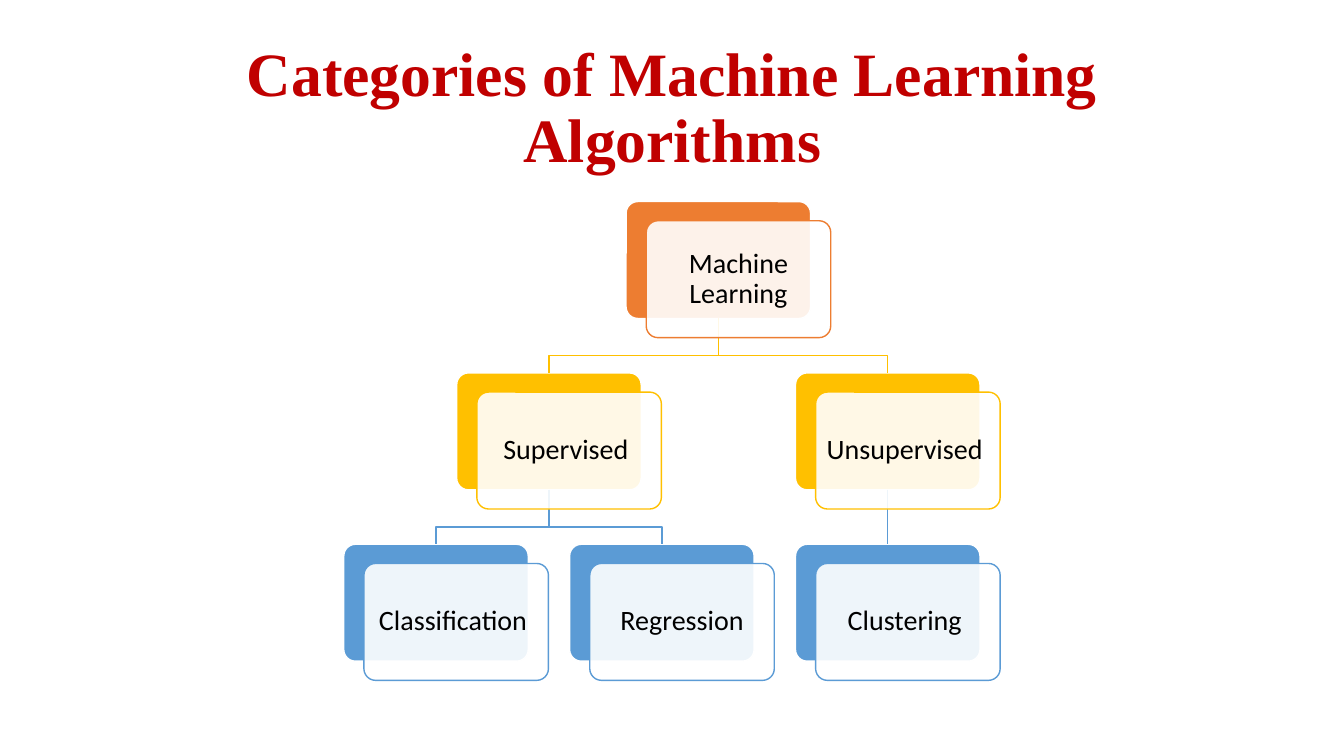
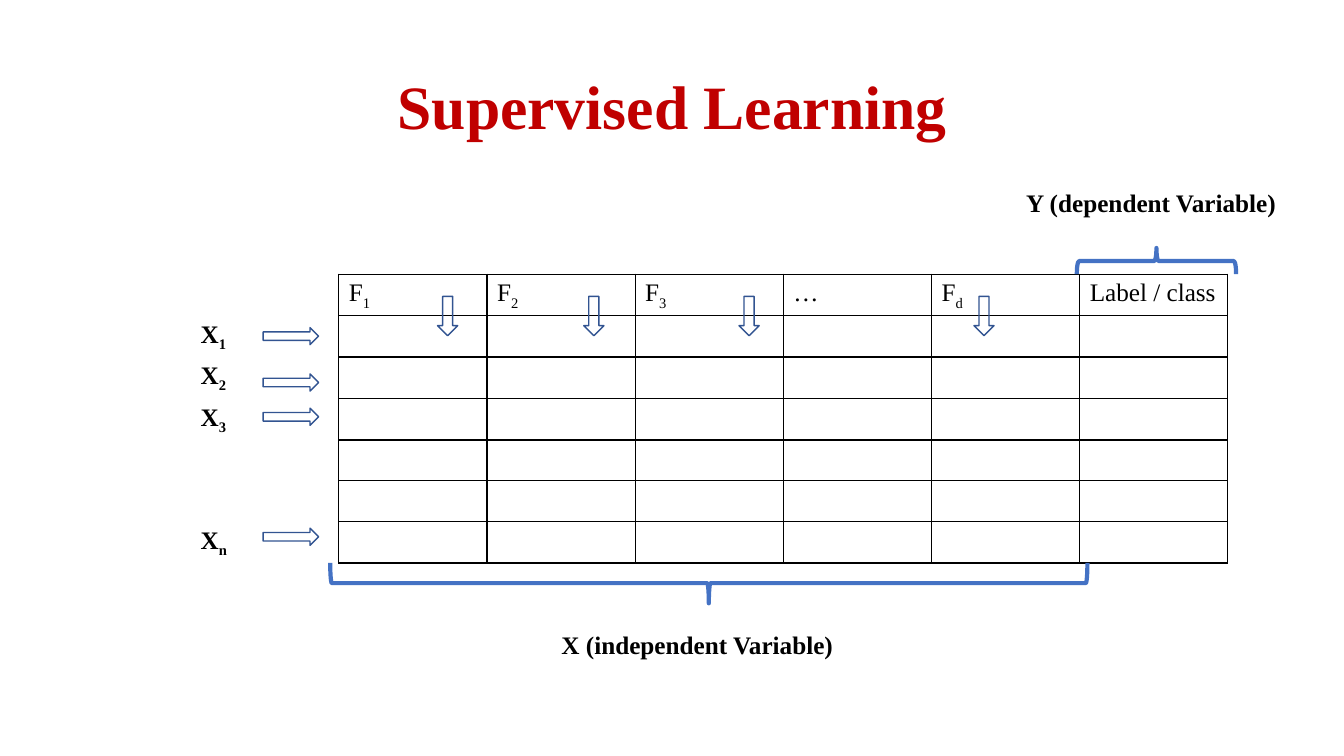
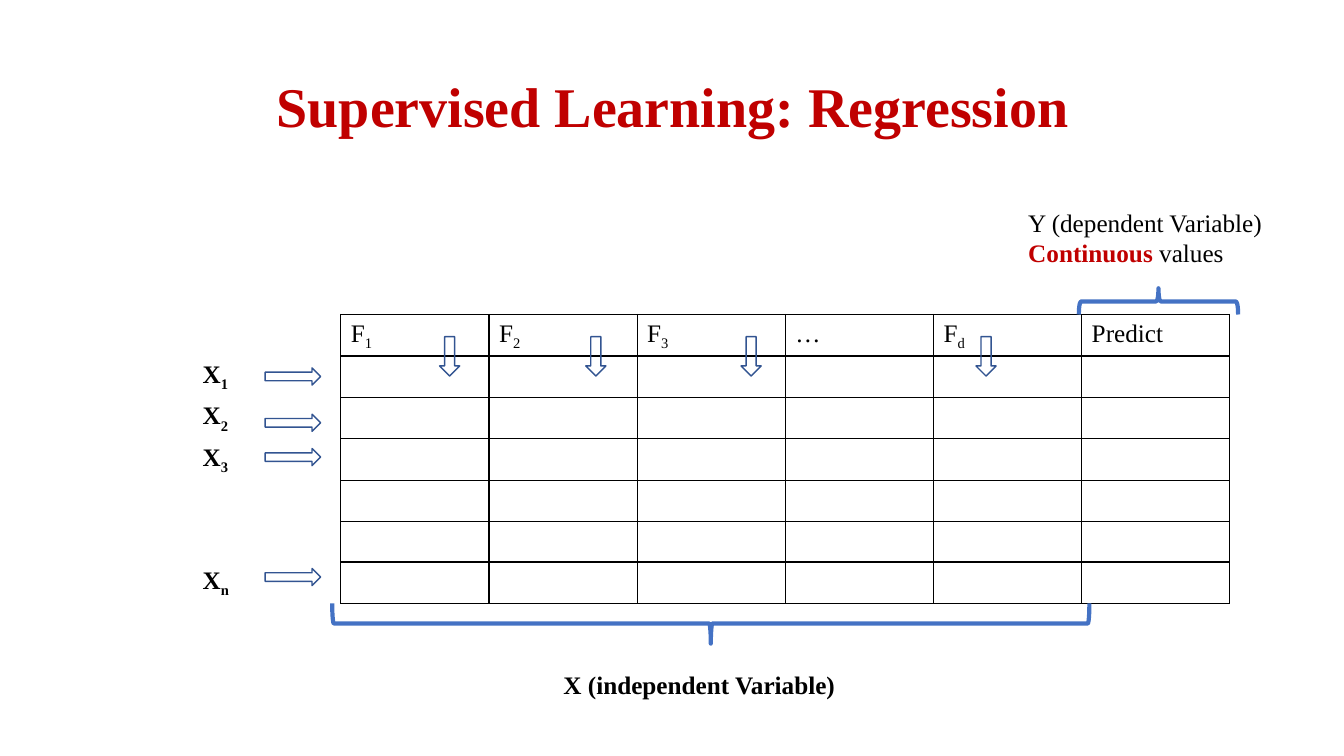
from lxml import etree
from pptx import Presentation
from pptx.dml.color import RGBColor
from pptx.enum.shapes import MSO_CONNECTOR, MSO_SHAPE
from pptx.enum.text import MSO_ANCHOR, PP_ALIGN
from pptx.oxml import parse_xml
from pptx.oxml.ns import nsdecls, qn
from pptx.util import Inches, Pt

RED = RGBColor(0xC0, 0x00, 0x00)
BLACK = RGBColor(0x00, 0x00, 0x00)
WHITE = RGBColor(0xFF, 0xFF, 0xFF)
ORANGE = RGBColor(0xED, 0x7D, 0x31)
GOLD = RGBColor(0xFF, 0xC0, 0x00)
SKY = RGBColor(0x5B, 0x9B, 0xD5)
BLUE = RGBColor(0x44, 0x72, 0xC4)
NAVY = RGBColor(0x32, 0x54, 0x91)
SERIF = "Times New Roman"
SANS = "Calibri"

TREE_TITLE = "Categories of Machine Learning Algorithms"
LEVEL_COLORS = [ORANGE, GOLD, SKY]
NODES = [
    ("Machine Learning", 0, 1.25, None),
    ("Supervised ", 1, 0.5, 0),
    ("Unsupervised ", 1, 2, 0),
    ("Classification ", 2, 0, 1),
    ("Regression", 2, 1, 1),
    ("Clustering ", 2, 2, 2),
]
CARD_W, CARD_H = 1.83, 1.16

FEATURES = ["", "F_1", "F_2", "F_3", "…", "F_d"]
SAMPLES = ["X_1", "X_2", "X_3", "", "", "X_n"]
SAMPLE_ARROW_TOPS = [3.25, 3.71, 4.05, 5.24]
FEATURE_ARROW_LEFTS = [4.34, 5.79, 7.33, 9.66]
X_NOTE = [[("X (independent Variable)", BLACK, True)]]
DATA_SLIDES = [
    dict(title="Supervised Learning", size=44, dx=0, dy=0, target="Label / class",
         y_top=1.81, y_note=[[("Y (dependent Variable)", BLACK, True)]]),
    dict(title="Supervised Learning: Regression", size=40, dx=0.02, dy=0.4, target="Predict",
         y_top=2.01, y_note=[[("Y (dependent Variable)", BLACK, False)],
                             [("Continuous", RED, True), (" values", BLACK, False)]]),
]


def add_run(p, text, size, color, bold=False, name=SERIF):
    r = p.add_run()
    r.text = text
    r.font.size, r.font.bold, r.font.name = Pt(size), bold, name
    r.font.color.rgb = color
    return r


def add_title(s, text, size):
    tf = s.shapes.add_textbox(Inches(0.92), Inches(0.36), Inches(11.5), Inches(1.45)).text_frame
    tf.word_wrap = True
    tf.vertical_anchor = MSO_ANCHOR.MIDDLE
    p = tf.paragraphs[0]
    p.alignment, p.line_spacing = PP_ALIGN.CENTER, 0.9
    add_run(p, text, size, RED, True)


def add_note(s, paragraphs, left, top, width, height):
    tf = s.shapes.add_textbox(Inches(left), Inches(top), Inches(width), Inches(height)).text_frame
    tf.word_wrap = True
    for i, runs in enumerate(paragraphs):
        p = tf.add_paragraph() if i else tf.paragraphs[0]
        for text, color, bold in runs:
            add_run(p, text, 18, color, bold)


def add_box(s, kind, left, top, width, height, line, weight=1, fill=None):
    sp = s.shapes.add_shape(kind, Inches(left), Inches(top), Inches(width), Inches(height))
    sp.shadow.inherit = False
    if fill is None:
        sp.fill.background()
    else:
        sp.fill.solid()
        sp.fill.fore_color.rgb = fill
    sp.line.color.rgb, sp.line.width = line, Pt(weight)
    return sp


def add_card(s, left, top, line, fill):
    sp = add_box(s, MSO_SHAPE.ROUNDED_RECTANGLE, left, top, CARD_W, CARD_H, line, 1, fill)
    sp.adjustments[0] = 0.1
    return sp


def add_link(s, parent, child, color):
    x1, y1 = parent.left + parent.width // 2, parent.top + parent.height
    x2, y2 = child.left + child.width // 2, child.top
    if x1 == x2:
        sp = s.shapes.add_connector(MSO_CONNECTOR.STRAIGHT, x1, y1, x2, y2)
        sp.begin_connect(parent, 2)
        sp.end_connect(child, 0)
        etree.SubElement(sp._element.spPr, qn("a:effectLst"))
    else:
        bend = y1 + Inches(0.37)
        path_builder = s.shapes.build_freeform(x1, y1)
        path_builder.add_line_segments([(x1, bend), (x2, bend), (x2, y2)], close=False)
        sp = path_builder.convert_to_shape()
        sp.shadow.inherit = False
        sp.fill.background()
    sp.line.color.rgb, sp.line.width = color, Pt(1)


def add_tree(s):
    spots = [(3.41 + 2.24 * col, 2 + 1.7 * level) for _, level, col, _ in NODES]
    cards = [add_card(s, *spot, WHITE, LEVEL_COLORS[node[1]]) for spot, node in zip(spots, NODES)]
    for card, (_, level, _, parent) in zip(cards, NODES):
        if parent is not None:
            add_link(s, cards[parent], card, LEVEL_COLORS[level])
    for (left, top), (text, level, _, _) in zip(spots, NODES):
        panel = add_card(s, left + 0.2, top + 0.19, LEVEL_COLORS[level], WHITE)
        clr = panel._element.spPr.find(qn("a:solidFill"))[0]
        etree.SubElement(clr, qn("a:alpha"), val="90000")
        tf = panel.text_frame
        tf.word_wrap = True
        tf.vertical_anchor = MSO_ANCHOR.MIDDLE
        tf.margin_left = tf.margin_right = tf.margin_top = tf.margin_bottom = Inches(0.07)
        p = tf.paragraphs[0]
        p.alignment, p.line_spacing = PP_ALIGN.CENTER, 0.9
        add_run(p, text, 20, BLACK, name=SANS)


def set_borders(cell, sides):
    tc_pr = cell._tc.get_or_add_tcPr()
    for i, side in enumerate("LRTB"):
        paint = f'<a:solidFill><a:srgbClr val="{BLACK}"/></a:solidFill>' if side in sides else "<a:noFill/>"
        tc_pr.insert(i, parse_xml(f'<a:ln{side} {nsdecls("a")} w="12700">{paint}</a:ln{side}>'))


def add_data_table(s, left, top, target):
    rows = [FEATURES + [target]] + [[name] + [""] * len(FEATURES) for name in SAMPLES]
    n_rows, n_cols = len(rows), len(rows[0])
    table = s.shapes.add_table(n_rows, n_cols, Inches(left), Inches(top),
                               Inches(10.29), Inches(2.84)).table
    table.first_row = table.horz_banding = False
    for i, row in enumerate(rows):
        for j, text in enumerate(row):
            cell = table.cell(i, j)
            cell.fill.background()
            set_borders(cell, "LRTB" if j else "R")
            p = cell.text_frame.paragraphs[0]
            p.font.size = Pt(18)
            base, _, sub = text.partition("_")
            if base:
                add_run(p, base, 18, BLACK, j == 0)
            if sub:
                r = add_run(p, sub, 18, BLACK, j == 0)
                r._r.get_or_add_rPr().set("baseline", "-25000")
                cell.margin_bottom = Inches(0.02)


def add_data_slide(s, title, size, dx, dy, target, y_top, y_note):
    add_title(s, title, size)
    add_data_table(s, 1.89 + dx, 2.72 + dy, target)
    for top in SAMPLE_ARROW_TOPS:
        add_box(s, MSO_SHAPE.RIGHT_ARROW, 2.61 + dx, top + dy, 0.55, 0.17, NAVY)
    for left in FEATURE_ARROW_LEFTS:
        add_box(s, MSO_SHAPE.DOWN_ARROW, left + dx, 2.94 + dy, 0.2, 0.39, NAVY)
    add_note(s, X_NOTE, 5.47 + dx, 6.19 + dy, 3.14, 0.4)
    x_brace = add_box(s, MSO_SHAPE.LEFT_BRACE, 6.83 + dx, 2.03 + dy, 0.4, 7.51, BLUE, 3)
    x_brace.adjustments[0] = 0.04
    y_brace = add_box(s, MSO_SHAPE.RIGHT_BRACE, 11.34 + dx, 1.8 + dy, 0.26, 1.58, BLUE, 3)
    x_brace.rotation = y_brace.rotation = 270
    add_note(s, y_note, 10.08 + dx, y_top, 2.77, 0.4 if len(y_note) == 1 else 0.71)


def main():
    prs = Presentation()
    prs.slide_width, prs.slide_height = Inches(13.33), Inches(7.5)
    blank = prs.slide_layouts[6]
    s = prs.slides.add_slide(blank)
    add_title(s, TREE_TITLE, 44)
    add_tree(s)
    for data in DATA_SLIDES:
        add_data_slide(prs.slides.add_slide(blank), **data)
    prs.save("out.pptx")


if __name__ == "__main__":
    main()
